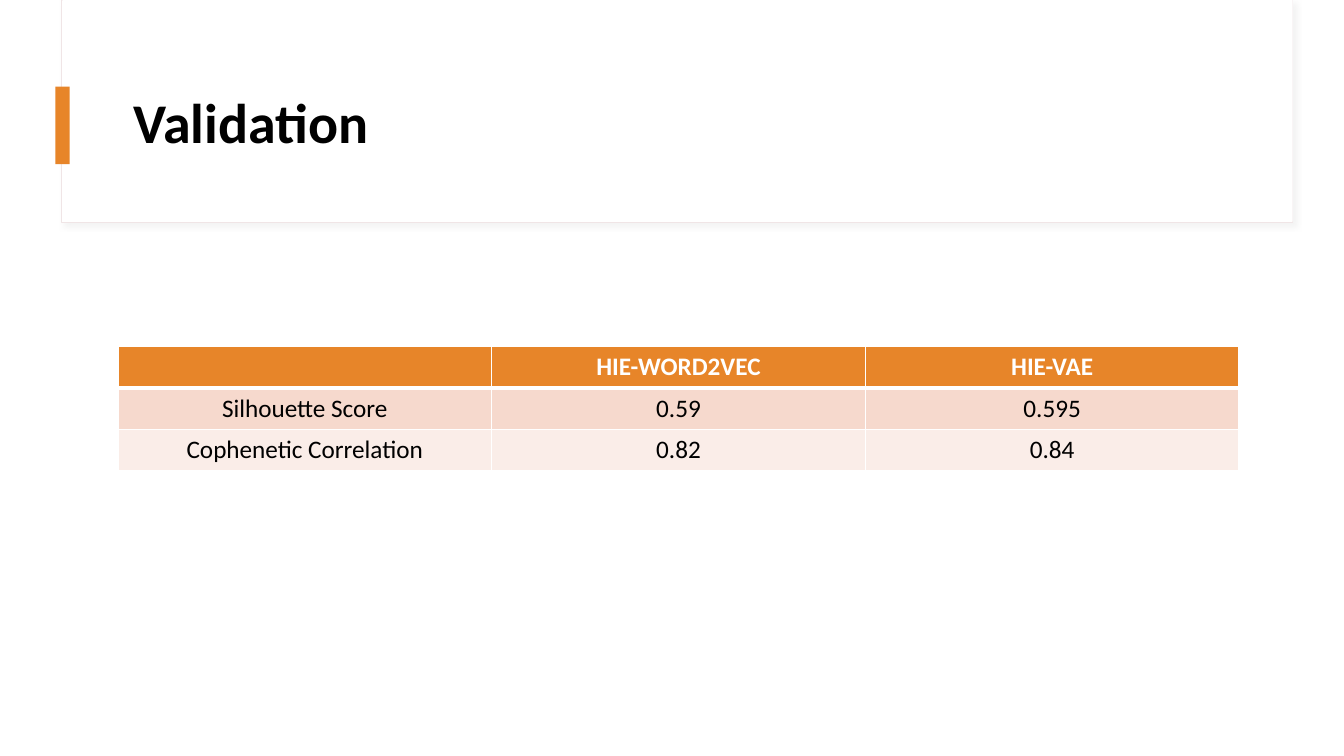
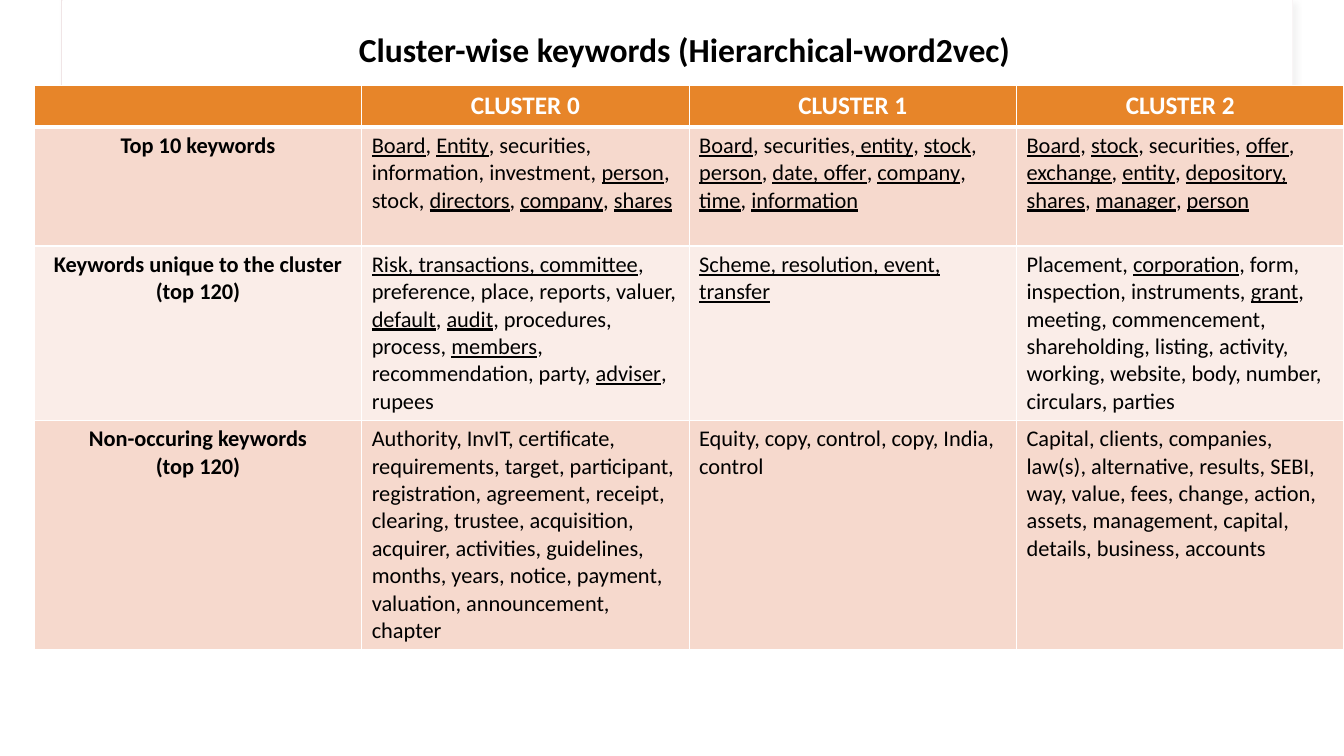
from lxml import etree
from pptx import Presentation
from pptx import util as u
from pptx.dml import color
from pptx.enum import shapes, text
from pptx.oxml import ns

COLORS = {
    "paper": "FFFFFF",
    "ink": "000000",
    "accent": "E78529",
    "frame": "F0E5E6",
    "shadow": "D9D9D9",
    "band_dark": "F6D9CD",
    "band_light": "FAEDE8",
}
FONT = "Calibri"
TITLE_ONLY = 5
HEADER_HEIGHT = 0.41
CENTER, LEFT = text.PP_ALIGN.CENTER, text.PP_ALIGN.LEFT

# Underscores enclose underlined words
KEYWORDS = [
    ["", "CLUSTER 0", "CLUSTER 1", "CLUSTER 2"],
    [
        "Top 10 keywords",
        "_Board_, _Entity_, securities, information, investment, _person_, stock, "
        "_directors_, _company_, _shares_",
        "_Board_, securities,_ entity_, _stock_, _person_, _date, offer_, "
        "_company_, _time_, _information_",
        "_Board_, _stock_, securities, _offer_, _exchange_, _entity_, "
        "_depository, shares_, _manager_, _person_",
    ],
    [
        "Keywords unique to the cluster (top 120)",
        "_Risk, transactions, committee_, preference, place, reports, valuer,"
        "_ default_, _audit_, procedures, process, _members_, recommendation, "
        "party, _adviser_, rupees",
        "_Scheme, resolution, event, transfer_",
        "Placement, _corporation_, form, inspection, instruments, _grant_, "
        "meeting, commencement, shareholding, listing, activity, working, "
        "website, body, number, circulars, parties",
    ],
    [
        "Non-occuring keywords\n(top 120)",
        "Authority, InvIT, certificate, requirements, target, participant, "
        "registration, agreement, receipt, clearing, trustee, acquisition, "
        "acquirer, activities, guidelines, months, years, notice, payment, "
        "valuation, announcement, chapter",
        "Equity, copy, control, copy, India, control",
        "Capital, clients, companies, law(s), alternative, results, SEBI, way, "
        "value, fees, change, action, assets, management, capital, details, "
        "business, accounts",
    ],
]

SCORES = [
    ["", "HIE-WORD2VEC", "HIE-VAE"],
    ["Silhouette Score", "0.59", "0.595"],
    ["Cophenetic Correlation", "0.82", "0.84"],
]


def rgb(name):
    return color.RGBColor.from_string(COLORS[name])


def add_color(parent, name):
    return etree.SubElement(parent, ns.qn("a:srgbClr"), val=COLORS[name])


class Deck:
    """Holds the presentation, its style and the current slide."""

    def __init__(self):
        self.presentation = Presentation()
        self.presentation.slide_width = u.Inches(13.33)
        self.presentation.slide_height = u.Inches(7.5)
        self.slide = None

    def add_slide(self):
        layout = self.presentation.slide_layouts[TITLE_ONLY]
        self.slide = self.presentation.slides.add_slide(layout)
        # Title frame and accent tab
        frame = self.rectangle(0.61, 0, 12.21, 2.21, "paper", "frame")
        self.soft_shadow(frame)
        self.rectangle(0.62, 0, 12.2, 2.2, "paper")
        self.rectangle(0.55, 0.86, 0.14, 0.77, "accent")

    def rectangle(self, left, top, width, height, fill, line=None):
        shape = self.slide.shapes.add_shape(
            shapes.MSO_SHAPE.RECTANGLE,
            u.Inches(left), u.Inches(top), u.Inches(width), u.Inches(height))
        shape.shadow.inherit = False
        shape.fill.solid()
        shape.fill.fore_color.rgb = rgb(fill)
        if line:
            shape.line.color.rgb = rgb(line)
            shape.line.width = u.Pt(0.75)
        else:
            shape.line.fill.background()
        return shape

    def soft_shadow(self, shape):
        effects = shape.element.spPr.find(ns.qn("a:effectLst"))
        shadow = etree.SubElement(
            effects, ns.qn("a:outerShdw"), blurRad=str(u.Pt(4)),
            dist=str(u.Pt(3)), dir=str(45 * 60000), algn="tl", rotWithShape="0")
        etree.SubElement(add_color(shadow, "shadow"), ns.qn("a:alpha"), val="30000")

    def style(self, paragraph, size, ink, bold, align):
        paragraph.alignment = align
        font = paragraph.font
        font.name, font.size, font.bold = FONT, u.Pt(size), bold
        font.color.rgb = rgb(ink)

    def title(self, wording, left, top, height, size, align=LEFT):
        title = self.slide.shapes.title
        title.left, title.top = u.Inches(left), u.Inches(top)
        title.width, title.height = u.Inches(11.12), u.Inches(height)
        # Bring the title in front of the frame
        self.slide.shapes.element.append(title.element)
        frame = title.text_frame
        frame.text = wording
        frame.word_wrap = True
        frame.auto_size = text.MSO_AUTO_SIZE.NONE
        frame.vertical_anchor = text.MSO_ANCHOR.MIDDLE
        paragraph = frame.paragraphs[0]
        paragraph.line_spacing = 0.9
        self.style(paragraph, size, "ink", True, align)

    def table(self, rows, left, top, width, heights, size=18, keyed=False):
        """Draw a banded table; a keyed one has bold row names and left-set text."""
        table = self.slide.shapes.add_table(
            len(rows), len(rows[0]), u.Inches(left), u.Inches(top),
            u.Inches(width), u.Inches(sum(heights))).table
        for row, height in zip(table.rows, heights):
            row.height = u.Inches(height)
        for i, row in enumerate(rows):
            header = i == 0
            fill = "accent" if header else "band_dark" if i % 2 else "band_light"
            for j, wording in enumerate(row):
                cell = table.cell(i, j)
                cell.fill.solid()
                cell.fill.fore_color.rgb = rgb(fill)
                self.borders(cell, top=3 if i == 1 else 1, bottom=3 if header else 1)
                self.cell_text(
                    cell, wording, 18 if header else size,
                    "paper" if header else "ink",
                    header or (keyed and j == 0),
                    LEFT if keyed and j and not header else CENTER)

    def borders(self, cell, top, bottom):
        properties = cell._tc.get_or_add_tcPr()
        widths = {"a:lnL": 1, "a:lnR": 1, "a:lnT": top, "a:lnB": bottom}
        for position, (tag, width) in enumerate(widths.items()):
            line = etree.Element(ns.qn(tag), w=str(u.Pt(width)))
            add_color(etree.SubElement(line, ns.qn("a:solidFill")), "paper")
            properties.insert(position, line)

    def cell_text(self, cell, wording, size, ink, bold, align):
        frame = cell.text_frame
        for number, line in enumerate(wording.split("\n")):
            paragraph = frame.add_paragraph() if number else frame.paragraphs[0]
            self.style(paragraph, size, ink, bold, align)
            for part, words in enumerate(line.split("_")):
                if words:
                    run = paragraph.add_run()
                    run.text = words
                    if part % 2:
                        run.font.underline = True


def main():
    deck = Deck()

    # Validation scores
    deck.add_slide()
    deck.title("Validation", 1.22, 0.6, 1.29, 40)
    deck.table(SCORES, 1.17, 3.44, 11.12, [HEADER_HEIGHT] * 3)

    # Keywords of each cluster
    deck.add_slide()
    deck.title("Cluster-wise keywords (Hierarchical-word2vec)",
               1.23, 0.1, 0.83, 24, CENTER)
    deck.table(KEYWORDS, 0.34, 0.85, 12.99, [HEADER_HEIGHT, 1.18, 1.73, 2.27],
               size=16, keyed=True)

    deck.presentation.save("out.pptx")


if __name__ == "__main__":
    main()
